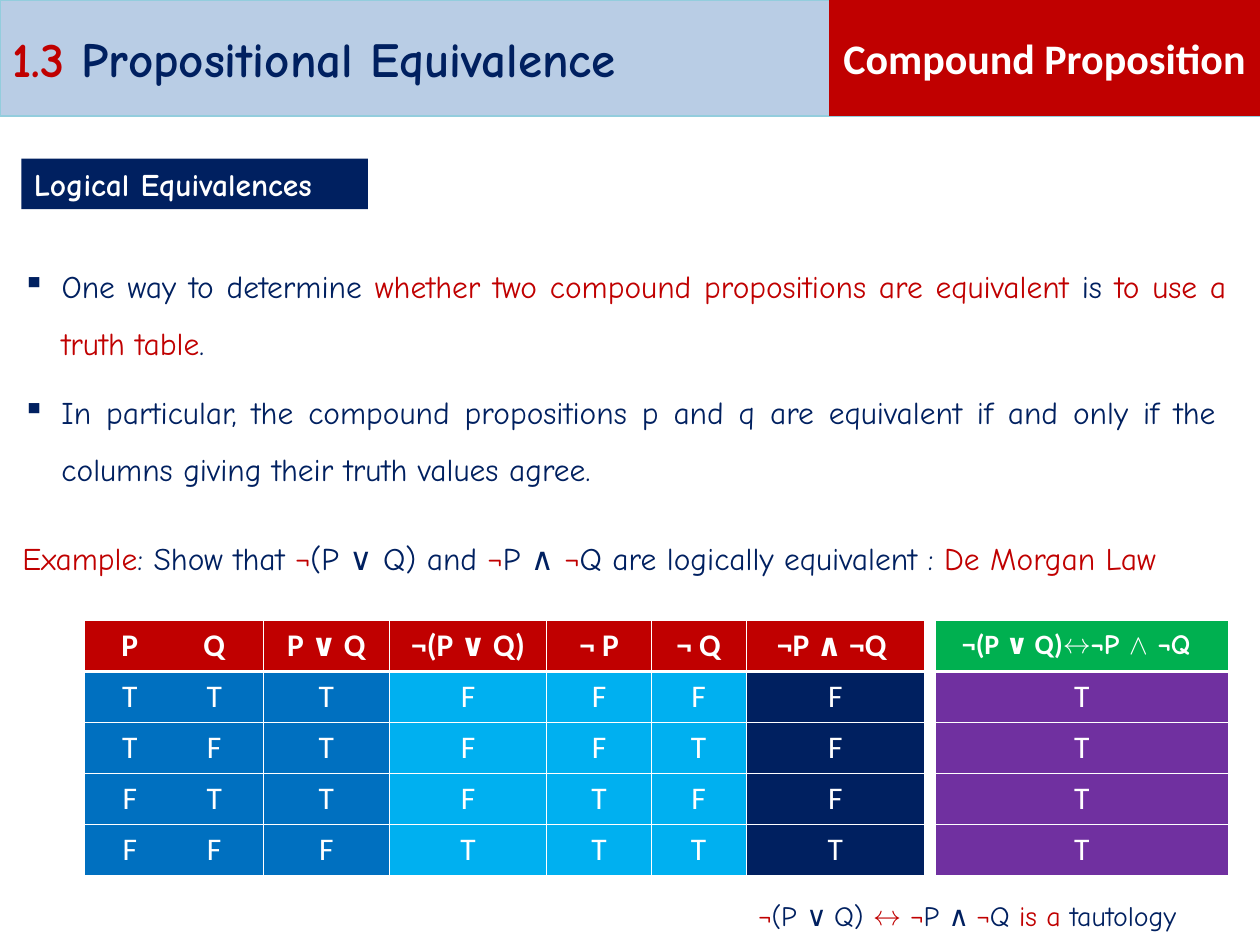
import lxml.etree
import pptx
import pptx.dml.color
import pptx.enum.shapes
import pptx.enum.text
import pptx.oxml.ns
import pptx.util

Inches = pptx.util.Inches
Pt = pptx.util.Pt
PP_ALIGN = pptx.enum.text.PP_ALIGN
MSO_ANCHOR = pptx.enum.text.MSO_ANCHOR

NAVY, RED, WHITE = "002060", "C00000", "FFFFFF"
BLUE, SKY, GREEN, PURPLE = "0070C0", "00B0F0", "00B050", "7030A0"
COMIC, CALIBRI = "Comic Neue", "Calibri"


def rgb(value):
    return pptx.dml.color.RGBColor.from_string(value)


def sub(parent, tag, **attrs):
    return lxml.etree.SubElement(parent, pptx.oxml.ns.qn(tag), **attrs)


class SlideBuilder:
    """Draws styled elements on the current slide."""

    row_heights = (0.41, 0.4, 0.41, 0.4, 0.41)
    thin, thick = 0.45, 1.47

    def __init__(self, prs):
        self.slide = prs.slides.add_slide(prs.slide_layouts[6])

    def add_runs(self, p, runs, size, font=COMIC, bold=False):
        for text, color in runs:
            r = p.add_run()
            r.text = text
            r.font.size = Pt(size)
            r.font.name = font
            r.font.bold = bold
            r.font.color.rgb = rgb(color)

    def bar(self, box, fill, runs, size, font=COMIC, line=None,
            align=PP_ALIGN.LEFT, anchor=MSO_ANCHOR.MIDDLE):
        sp = self.slide.shapes.add_shape(
            pptx.enum.shapes.MSO_SHAPE.RECTANGLE, *map(Inches, box))
        sp.shadow.inherit = False
        sp.fill.solid()
        sp.fill.fore_color.rgb = rgb(fill)
        if line:
            sp.line.color.rgb = rgb(line)
            sp.line.width = Pt(0.75)
        else:
            sp.line.fill.background()
        tf = sp.text_frame
        tf.word_wrap = True
        tf.vertical_anchor = anchor
        p = tf.paragraphs[0]
        p.alignment = align
        self.add_runs(p, runs, size, font, True)

    def text(self, box, runs, size=18, align=PP_ALIGN.JUSTIFY, spacing=1.5, bullet=False):
        tf = self.slide.shapes.add_textbox(*map(Inches, box)).text_frame
        tf.word_wrap = True
        p = tf.paragraphs[0]
        p.alignment = align
        p.line_spacing = spacing
        if bullet:
            pPr = p._p.get_or_add_pPr()
            pPr.set("marL", str(Inches(0.31)))
            pPr.set("indent", str(-Inches(0.31)))
            sub(sub(pPr, "a:buClr"), "a:srgbClr", val=NAVY)
            sub(pPr, "a:buChar", char="▪")
        self.add_runs(p, runs, size)

    def table(self, left, top, widths, rows):
        frame = self.slide.shapes.add_table(
            len(rows), len(widths), Inches(left), Inches(top),
            Inches(sum(widths)), Inches(sum(self.row_heights)))
        table = frame.table
        table.first_row = table.horz_banding = False
        for column, width in zip(table.columns, widths):
            column.width = Inches(width)
        for i, (row, height) in enumerate(zip(rows, self.row_heights)):
            table.rows[i].height = Inches(height)
            for j, (fill, groups) in enumerate(row):
                self.cell(table.cell(i, j), i, fill, groups)

    def cell(self, cell, row, fill, groups):
        tcPr = cell._tc.get_or_add_tcPr()
        heavy = {0: "B", 1: "T"}.get(row)
        for side in "LRTB":
            width = self.thick if side == heavy else self.thin
            ln = sub(tcPr, "a:ln" + side, w=str(Pt(width)))
            sub(sub(ln, "a:solidFill"), "a:srgbClr", val=WHITE)
        cell.fill.solid()
        cell.fill.fore_color.rgb = rgb(fill)
        p = cell.text_frame.paragraphs[0]
        p.alignment = PP_ALIGN.CENTER
        if "\t" in groups[0][0]:
            p.alignment = PP_ALIGN.LEFT
            tabs = sub(p._p.get_or_add_pPr(), "a:tabLst")
            for pos in (0.26, 0.93):
                sub(tabs, "a:tab", pos=str(Inches(pos)), algn="ctr")
        for text, size, font in groups:
            self.add_runs(p, [(text, WHITE)], size, font, row == 0)


def main():
    prs = pptx.Presentation()
    prs.slide_width, prs.slide_height = Inches(10), Inches(7.5)
    s = SlideBuilder(prs)

    s.bar((0, 0, 10, 0.92), "B9CDE5",
          [("1.3", RED), (" Propositional Equivalence", NAVY)], 28, line="93CDDD")
    s.bar((6.58, 0, 3.42, 0.92), RED, [("Compound Proposition", WHITE)], 24,
          CALIBRI, align=PP_ALIGN.CENTER)
    s.bar((0.17, 1.26, 2.75, 0.4), NAVY, [("Logical Equivalences", WHITE)], 18,
          align=PP_ALIGN.JUSTIFY, anchor=MSO_ANCHOR.TOP)

    s.text((0.08, 1.92, 9.75, 1), [
        ("One way to determine ", NAVY),
        ("whether two compound propositions are equivalent", RED),
        (" is", NAVY), (" to use a truth table", RED), (". ", NAVY)], bullet=True)
    s.text((0.08, 2.92, 9.67, 1), [
        ("In particular, the compound propositions p and q are equivalent if and only if "
         "the columns giving their truth values agree.", NAVY)], bullet=True)
    s.text((0.08, 4.08, 9.92, 0.55), [
        ("Example", RED), (": Show that ", NAVY), ("¬", RED), ("(P ∨ Q) and ", NAVY),
        ("¬", RED), ("P ∧ ", NAVY), ("¬", RED),
        ("Q are logically equivalent : ", NAVY), ("De Morgan Law", RED)])

    headers = ["\tP\tQ", "P ∨ Q", "¬(P ∨ Q)", "¬ P", "¬ Q", "¬P ∧ ¬Q "]
    fills = [BLUE, BLUE, SKY, SKY, SKY, NAVY]
    truth = [[(RED, [(h, 18, CALIBRI)]) for h in headers]]
    tautology = [[(GREEN, [("¬(P ∨ Q)", 16, CALIBRI), ("↔¬P ∧ ¬Q", 16, COMIC),
                           (" ", 18, COMIC)])]]
    for p in (True, False):
        for q in (True, False):
            mark = {True: "T", False: "F"}
            values = [p or q, not (p or q), not p, not q, not p and not q]
            texts = [f"\t{mark[p]}\t{mark[q]}"] + [mark[v] for v in values]
            truth.append([(f, [(t, 18, CALIBRI)]) for f, t in zip(fills, texts)])
            same = values[1] == values[4]
            tautology.append([(PURPLE, [(mark[same], 18, CALIBRI)])])
    s.table(0.67, 4.92, (1.42, 1, 1.25, 0.83, 0.75, 1.42), truth)
    s.table(7.42, 4.92, (2.33,), tautology)

    s.text((5.92, 7.08, 3.67, 0.37), [
        ("¬", RED), ("(P ∨ Q) ", NAVY), ("↔ ¬", RED), ("P ∧ ", NAVY), ("¬", RED),
        ("Q", NAVY), (" is a ", RED), ("tautology", NAVY)],
        size=16, align=PP_ALIGN.LEFT, spacing=1)
    prs.save("out.pptx")


if __name__ == "__main__":
    main()
